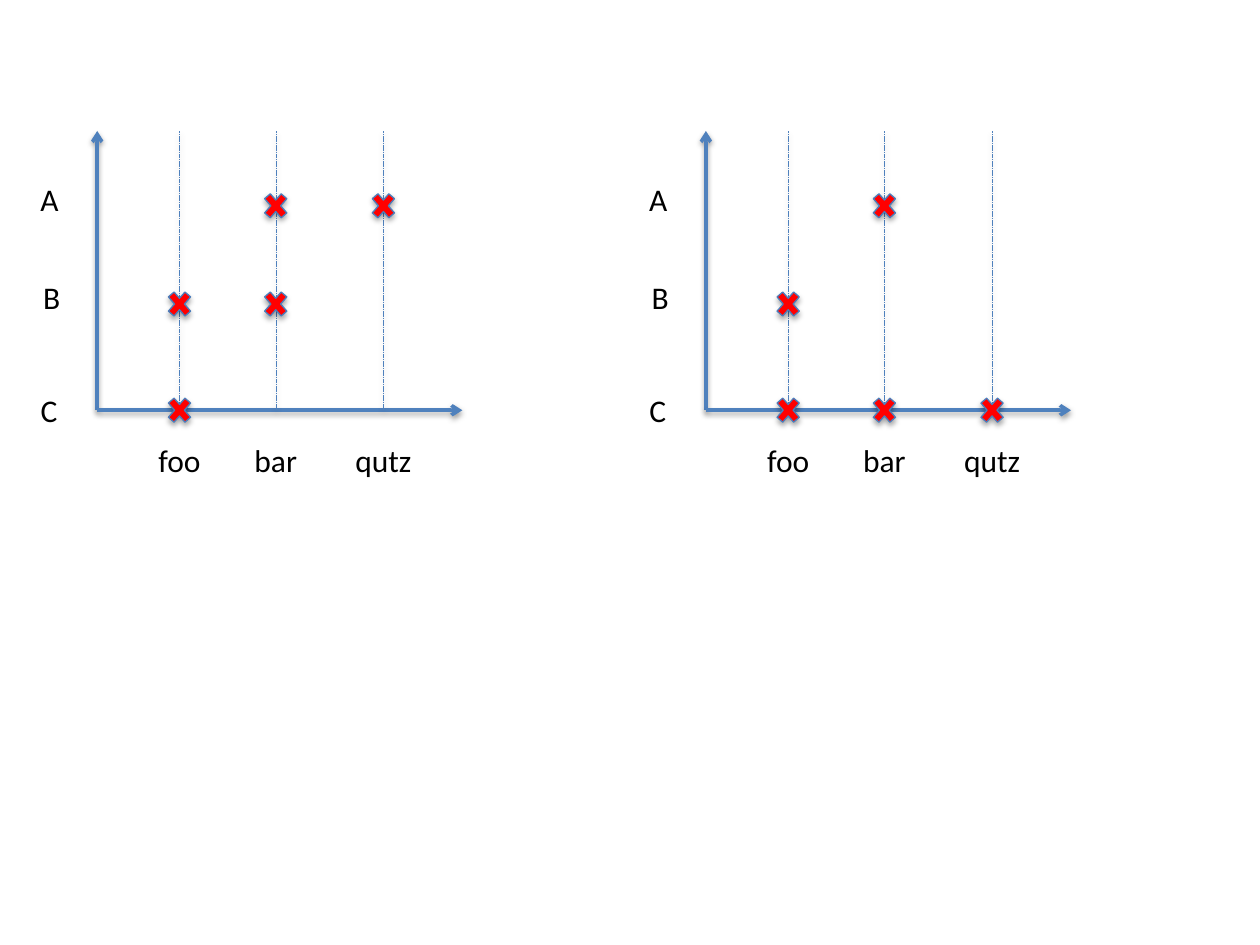
from lxml import etree
from pptx import Presentation
from pptx.dml.color import RGBColor
from pptx.enum.dml import MSO_LINE
from pptx.enum.shapes import MSO_CONNECTOR, MSO_SHAPE
from pptx.enum.text import MSO_AUTO_SIZE, PP_ALIGN
from pptx.oxml import parse_xml
from pptx.oxml.ns import nsdecls, qn
from pptx.util import Cm, Pt

STRAIGHT = MSO_CONNECTOR.STRAIGHT
CROSS = MSO_SHAPE.MATH_MULTIPLY
DASH = MSO_LINE.SQUARE_DOT
FIT = MSO_AUTO_SIZE.SHAPE_TO_FIT_TEXT
CENTER = PP_ALIGN.CENTER

COLORS = {"axis": "4F81BD", "edge": "4B7EBC", "mark": "FF0000", "text": "000000"}


def rgb(name):
    return RGBColor.from_string(COLORS[name])


def write(tf, text, size=18, font="Calibri", color="text", align=CENTER):
    p = tf.paragraphs[0]
    p.alignment = align
    r = p.add_run()
    r.text = text
    r.font.size = Pt(size)
    r.font.name = font
    r.font.color.rgb = rgb(color)


def add_shadow(sp, opacity, dist):
    sp._element.spPr.append(parse_xml(
        f'<a:effectLst {nsdecls("a")}>'
        f'<a:outerShdw blurRad="{Pt(3.1)}" dist="{Pt(dist)}" dir="5400000" rotWithShape="0">'
        f'<a:srgbClr val="000000"><a:alpha val="{opacity * 1000}"/></a:srgbClr>'
        '</a:outerShdw></a:effectLst>'))


class Plotter:
    label_h = 1.01
    mark_w, mark_h = 0.64, 0.74

    def __init__(self, slide):
        self.shapes = slide.shapes

    def line(self, x1, y1, x2, y2, width, dash=None, arrow=False):
        sp = self.shapes.add_connector(STRAIGHT, Cm(x1), Cm(y1), Cm(x2), Cm(y2))
        sp.line.color.rgb = rgb("axis")
        sp.line.width = Pt(width)
        if dash:
            sp.line.dash_style = dash
        if arrow:
            etree.SubElement(sp.line._get_or_add_ln(), qn("a:tailEnd"), type="arrow")
        add_shadow(sp, 38, 1.6)

    def label(self, text, x, y, width):
        sp = self.shapes.add_textbox(Cm(x - width / 2), Cm(y), Cm(width), Cm(self.label_h))
        tf = sp.text_frame
        tf.word_wrap = False
        tf.auto_size = FIT
        write(tf, text)

    def mark(self, x, y):
        sp = self.shapes.add_shape(CROSS, Cm(x - self.mark_w / 2), Cm(y - self.mark_h / 2),
                                   Cm(self.mark_w), Cm(self.mark_h))
        sp.fill.solid()
        sp.fill.fore_color.rgb = rgb("mark")
        sp.line.color.rgb = rgb("edge")
        sp.line.width = Pt(0.75)
        add_shadow(sp, 35, 1.8)


COLUMNS = {"foo": (3.62, 1.4), "bar": (5.56, 1.37), "qutz": (7.73, 1.65)}
ROWS = {"A": (4.15, 3.51, 1.0), "B": (6.13, 5.49, 1.04), "C": (8.27, 7.75, 0.99)}
LEFT, RIGHT, TOP, BOTTOM = 1.96, 9.32, 2.64, 8.27
PLOTS = [
    (0, {"foo": "CB", "bar": "AB", "qutz": "A"}),
    (12.27, {"foo": "CB", "bar": "AC", "qutz": "C"}),
]

prs = Presentation()
prs.slide_width, prs.slide_height = Cm(25.4), Cm(19.05)
plot = Plotter(prs.slides.add_slide(prs.slide_layouts[6]))

for dx, marks in PLOTS:
    plot.line(LEFT + dx, BOTTOM, LEFT + dx, TOP, 2, arrow=True)
    plot.line(LEFT + dx, BOTTOM, RIGHT + dx, BOTTOM, 2, arrow=True)
    for name, (y, label_y, label_x) in ROWS.items():
        plot.label(name, label_x + dx, label_y, 0.88)
    for name, (x, width) in COLUMNS.items():
        plot.label(name, x + dx, 8.76, width)
        plot.line(x + dx, BOTTOM, x + dx, TOP, 0.25, dash=DASH)
        for row in marks[name]:
            plot.mark(x + dx, ROWS[row][0])

prs.save("out.pptx")
